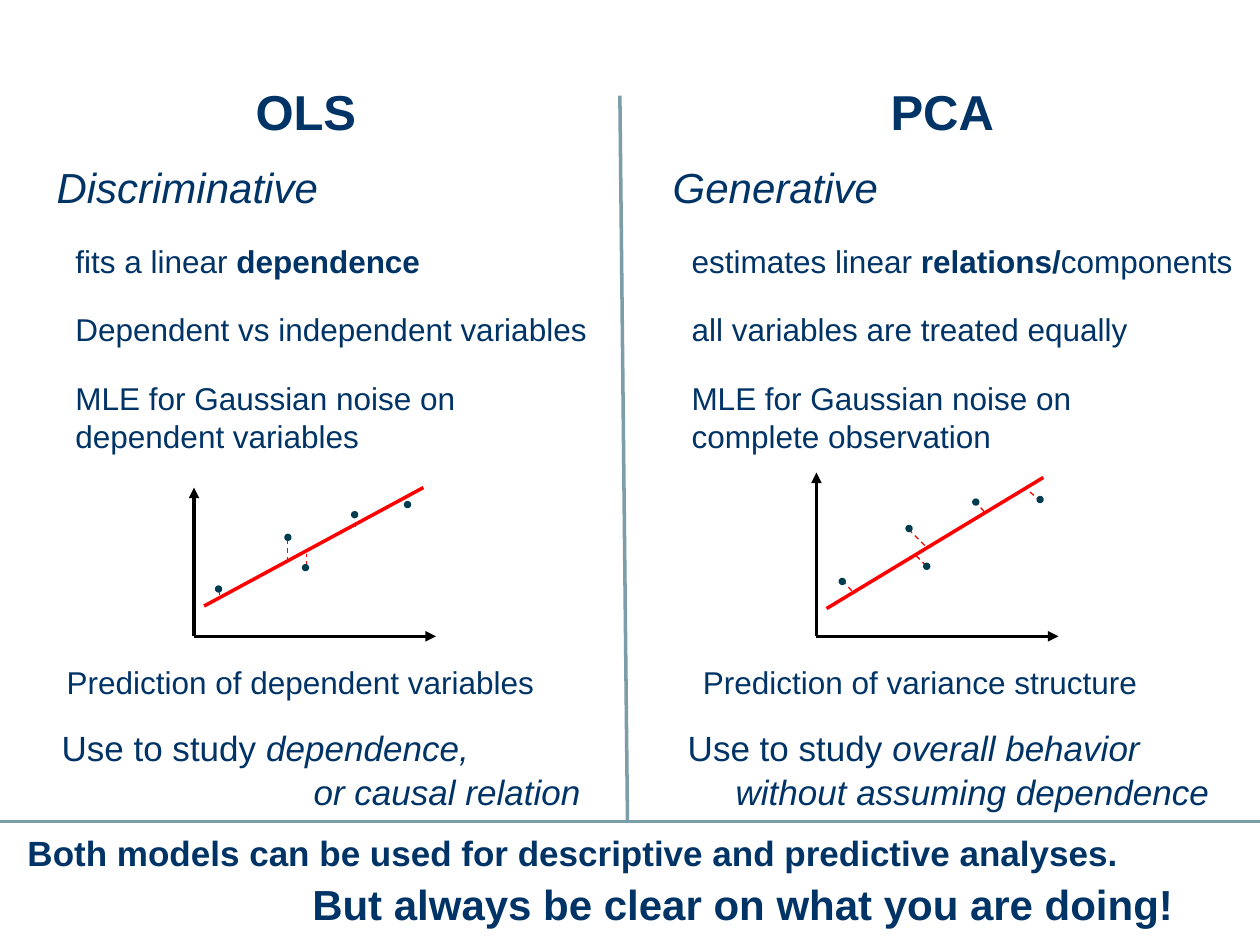
from pptx import Presentation, util as u
from pptx.dml.color import RGBColor
from pptx.enum import dml, shapes, text
from pptx.oxml.ns import qn
from lxml import etree

NAVY, TEAL, RULE, RED, BLACK = "003366", "003C50", "7B9EA9", "FF0000", "000000"


def color(hex_code):
    return RGBColor.from_string(hex_code)


def add_text(slide, box, size, *paragraphs, indent=0):
    """Each paragraph is a list of (text, style); style holds b and/or i."""
    frame = slide.shapes.add_textbox(*map(u.Inches, box)).text_frame
    frame.word_wrap = True
    frame.vertical_anchor = text.MSO_ANCHOR.TOP
    for index, runs in enumerate(paragraphs):
        par = frame.paragraphs[0] if index == 0 else frame.add_paragraph()
        par.space_before = u.Pt(1 if index else 0.2 * size)
        if index:
            par._p.get_or_add_pPr().set("marL", str(u.Inches(indent)))
        par.font.size, par.font.name = u.Pt(size), "Arial"
        par.font.color.rgb = color(NAVY)
        for words, style in runs:
            for part, line in enumerate(words.split("\n")):
                if part:
                    par.add_line_break()
                run = par.add_run()
                run.text = line
                run.font.size, run.font.name = u.Pt(size), "Arial"
                run.font.color.rgb = color(NAVY)
                run.font.bold, run.font.italic = "b" in style, "i" in style


def add_line(parent, start, end, hex_code, width=2, dashed=False, arrow=False):
    line = parent.shapes.add_connector(
        shapes.MSO_CONNECTOR.STRAIGHT, *map(u.Inches, (*start, *end)))
    line.line.color.rgb = color(hex_code)
    line.line.width = u.Pt(width)
    if dashed:
        line.line.dash_style = dml.MSO_LINE.DASH
    if arrow:
        etree.SubElement(line.line._get_or_add_ln(), qn("a:tailEnd"), type="triangle")
    etree.SubElement(line._element.spPr, qn("a:effectLst"))


def add_plot(slide, origin, plot):
    """Axes, residuals, points and fitted line, measured up from the origin."""
    group = slide.shapes.add_group_shape()

    def at(x, y):
        return origin[0] + x, origin[1] - y

    for start, end in plot["residuals"]:
        add_line(group, at(*start), at(*end), RED, 0.75, dashed=True)
    for tip in ((0, plot["height"]), (1.92, 0)):
        add_line(group, origin, at(*tip), BLACK, arrow=True)
    add_line(group, *(at(*end) for end in plot["fit"]), RED)
    for point in plot["points"]:
        dot = group.shapes.add_shape(
            shapes.MSO_SHAPE.OVAL, *map(u.Inches, (*at(*point), 0.03, 0.03)))
        dot.shadow.inherit = False
        dot.fill.solid()
        dot.fill.fore_color.rgb = dot.line.color.rgb = color(TEAL)
        dot.line.width = u.Pt(2)


def add_model(slide, left, model):
    """One column: heading, properties, plot, prediction and use."""
    add_text(slide, (left + model["title_x"], 0.6, 1.1, 0.55), 28, [(model["title"], "b")])
    add_text(slide, (left, 1.23, 2.52, 0.55), 24, [(model["kind"], "i")])
    for top, runs in zip((1.87, 2.41, 2.96), model["properties"]):
        add_text(slide, (left + 0.15, top, 4.72, 0.45), 18, runs)
    add_plot(slide, (left + model["plot_x"], 5.05), model["plot"])
    add_text(slide, (left + model["prediction_x"], 5.21, 4.41, 0.55), 18,
             [(model["prediction"], "")])
    add_text(slide, (left + model["use_x"], 5.72, 4.41, 0.55), 20,
             [("Use to study ", ""), (model["use"][0], "i")],
             [(model["use"][1], "i")], indent=model["use_indent"])


OLS = dict(
    title="OLS", title_x=1.58, kind="Discriminative",
    properties=[
        [("fits a linear ", ""), ("dependence", "b")],
        [("Dependent vs independent variables", "")],
        [("MLE for Gaussian noise on\ndependent variables", "")]],
    plot_x=1.19,
    plot=dict(
        height=1.18, fit=((0.08, 0.24), (1.82, 1.18)),
        points=[(0.18, 0.39), (0.73, 0.8), (0.87, 0.56), (1.26, 0.98), (1.68, 1.06)],
        residuals=[((0.2, 0.33), (0.2, 0.35)), ((0.74, 0.59), (0.74, 0.77)),
                   ((0.89, 0.56), (0.89, 0.65)), ((1.28, 0.87), (1.28, 0.96)),
                   ((1.7, 1.03), (1.7, 1.11))]),
    prediction="Prediction of dependent variables", prediction_x=0.08,
    use=("dependence,", "or causal relation"), use_x=0.04, use_indent=2)

PCA = dict(
    title="PCA", title_x=1.73, kind="Generative",
    properties=[
        [("estimates linear ", ""), ("relations/", "b"), ("components", "")],
        [("all variables are treated equally", "")],
        [("MLE for Gaussian noise on\ncomplete observation", "")]],
    plot_x=1.24,
    plot=dict(
        height=1.3, fit=((0.08, 0.22), (1.8, 1.26)),
        points=[(0.19, 0.45), (0.72, 0.87), (0.86, 0.57), (1.25, 1.08), (1.76, 1.1)],
        residuals=[((0.28, 0.36), (0.23, 0.42)), ((0.86, 0.72), (0.73, 0.85)),
                   ((0.87, 0.56), (0.79, 0.64)), ((1.33, 0.99), (1.27, 1.06)),
                   ((1.78, 1.07), (1.69, 1.15))]),
    prediction="Prediction of variance structure", prediction_x=0.24,
    use=("overall behavior", "without assuming dependence"), use_x=0.12, use_indent=0.38)


def add_conclusion(slide, top):
    """Rule across the slide with the two closing statements."""
    add_line(slide, (0, top), (10, top), RULE)
    add_text(slide, (0.12, top + 0.03, 9.13, 0.35), 20,
             [("Both models can be used for descriptive and predictive analyses.", "b")])
    add_text(slide, (2.38, top + 0.4, 8.05, 0.35), 24,
             [("But always be clear on what you are doing!", "b")])


prs = Presentation()
prs.slide_width, prs.slide_height = u.Inches(10), u.Inches(7.5)
comparison = prs.slides.add_slide(prs.slide_layouts[6])

# Two models side by side
add_line(comparison, (4.92, 0.76), (4.98, 6.51), RULE)
for left, model in ((0.35, OLS), (5.24, PCA)):
    add_model(comparison, left, model)

# Closing remarks
add_conclusion(comparison, 6.52)

prs.save("out.pptx")
